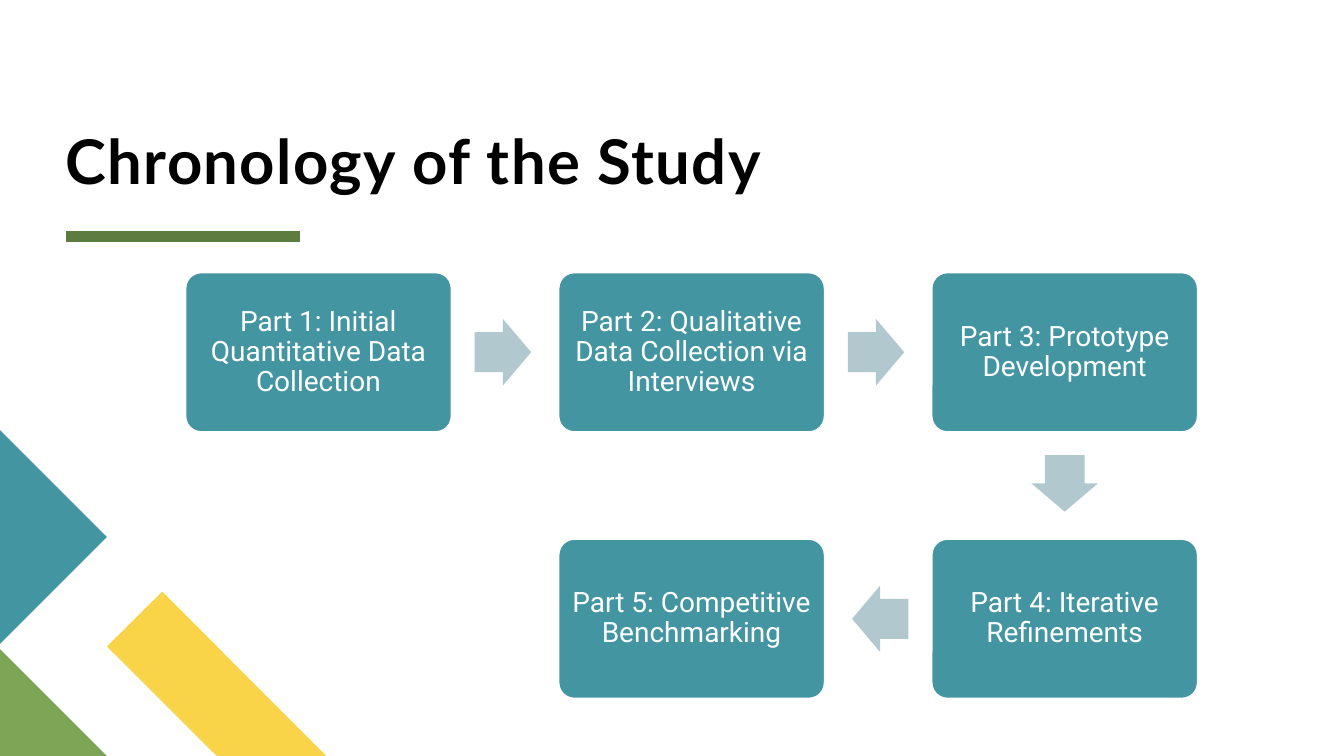
from dataclasses import dataclass

from lxml import etree
from pptx import Presentation
from pptx.dml.color import RGBColor
from pptx.enum.shapes import MSO_CONNECTOR, MSO_SHAPE
from pptx.enum.text import MSO_ANCHOR, MSO_AUTO_SIZE, PP_ALIGN
from pptx.oxml.ns import qn
from pptx.util import Pt

STRAIGHT = MSO_CONNECTOR.STRAIGHT
ROUNDED, ARROW = MSO_SHAPE.ROUNDED_RECTANGLE, MSO_SHAPE.RIGHT_ARROW
MIDDLE, BOTTOM = MSO_ANCHOR.MIDDLE, MSO_ANCHOR.BOTTOM
LEFT, CENTER = PP_ALIGN.LEFT, PP_ALIGN.CENTER
NO_FIT = MSO_AUTO_SIZE.NONE


@dataclass(frozen=True)
class Theme:
    white: str = "FFFFFF"
    black: str = "000000"
    teal: str = "4495A2"
    pale: str = "B0C8CE"
    yellow: str = "F9D448"
    green: str = "7CA655"
    dark_green: str = "5D7D40"
    title_font: str = "Lato"
    body_font: str = "Roboto"
    title_size: float = 44
    body_size: float = 20


def rgb(value):
    return RGBColor.from_string(value)


def write(tf, text, *, font, size, color, bold=False, align=LEFT,
          anchor=MIDDLE, inset=0, line=1.0, tracking=0):
    tf.word_wrap = True
    tf.auto_size = NO_FIT
    tf.vertical_anchor = anchor
    tf.margin_left = tf.margin_right = Pt(inset)
    tf.margin_top = tf.margin_bottom = Pt(inset)
    p = tf.paragraphs[0]
    p.alignment, p.line_spacing = align, line
    p.space_before = Pt(0)
    r = p.add_run()
    r.text = text
    r.font.name, r.font.size, r.font.bold = font, Pt(size), bold
    r.font.color.rgb = rgb(color)
    if tracking:
        r.font._element.set("spc", str(int(tracking * 100)))


class SlideBuilder:
    def __init__(self, slide, theme):
        self.s, self.theme = slide, theme

    def title(self, text, x, y, w, h):
        t, sp = self.theme, self.s.shapes.title
        sp.left, sp.top, sp.width, sp.height = Pt(x), Pt(y), Pt(w), Pt(h)
        write(sp.text_frame, text, font=t.title_font, size=t.title_size,
              color=t.black, bold=True, anchor=BOTTOM, line=0.8, tracking=1)

    def rule(self, x1, x2, y, color, weight):
        cx = self.s.shapes.add_connector(STRAIGHT, Pt(x1), Pt(y), Pt(x2), Pt(y))
        cx.line.color.rgb, cx.line.width = rgb(color), Pt(weight)
        etree.SubElement(cx._element.spPr, qn("a:effectLst"))

    def polygon(self, points, color):
        start, *rest = [(Pt(x), Pt(y)) for x, y in points]
        fb = self.s.shapes.build_freeform(*start)
        fb.add_line_segments(rest, close=True)
        self.paint(fb.convert_to_shape(), color)

    def paint(self, sp, color):
        sp.shadow.inherit = False
        sp.fill.solid()
        sp.fill.fore_color.rgb = rgb(color)
        sp.line.fill.background()

    def preset(self, kind, center, w, h, color):
        cx, cy = center
        sp = self.s.shapes.add_shape(kind, Pt(cx - w / 2), Pt(cy - h / 2), Pt(w), Pt(h))
        self.paint(sp, color)
        return sp

    def step(self, text, center):
        t = self.theme
        sp = self.preset(ROUNDED, center, 190.3, 114.2, t.teal)
        sp.adjustments[0] = 0.1
        sp.line.color.rgb, sp.line.width = rgb(t.white), Pt(1.5)
        write(sp.text_frame, text, font=t.body_font, size=t.body_size,
              color=t.white, align=CENTER, inset=5.5, line=0.9)

    def arrow(self, center, rotation):
        sp = self.preset(ARROW, center, 40.3, 47.5, self.theme.pale)
        sp.adjustments[0], sp.adjustments[1] = 0.6, 0.5
        sp.rotation = rotation


def main():
    prs = Presentation()
    prs.slide_width, prs.slide_height = Pt(960), Pt(540)
    theme = Theme()
    b = SlideBuilder(prs.slides.add_slide(prs.slide_layouts[5]), theme)

    # Corner decoration and title
    b.rule(46.8, 214.6, 169.2, theme.dark_green, 8)
    b.polygon([(233, 540), (154.8, 540), (76.4, 461.8), (115.9, 422.6)], theme.yellow)
    b.polygon([(76.4, 540), (0, 540), (0, 463.6)], theme.green)
    b.polygon([(0, 307.2), (76.4, 383.6), (0, 460)], theme.teal)
    b.title("Chronology of the Study", 46.8, 7.9, 856, 132.5)

    # Steps: text, column, row
    steps = [
        ("Part 1: Initial Quantitative Data Collection", 0, 0),
        ("Part 2: Qualitative Data Collection via Interviews", 1, 0),
        ("Part 3: Prototype Development", 2, 0),
        ("Part 4: Iterative Refinements", 2, 1),
        ("Part 5: Competitive Benchmarking", 1, 1),
    ]
    centers = [(227.5 + 266.5 * col, 251.6 + 190.4 * row) for _, col, row in steps]
    for (text, _, _), center in zip(steps, centers):
        b.step(text, center)

    # Arrows sit midway between steps, set back slightly towards the earlier one
    setback = 1.5
    directions = {0: (1, 0), 90: (0, 1), 180: (-1, 0)}
    for (x1, y1), (x2, y2), angle in zip(centers, centers[1:], [0, 0, 90, 180]):
        dx, dy = directions[angle]
        b.arrow(((x1 + x2) / 2 - setback * dx, (y1 + y2) / 2 - setback * dy), angle)

    prs.save("out.pptx")


if __name__ == "__main__":
    main()
